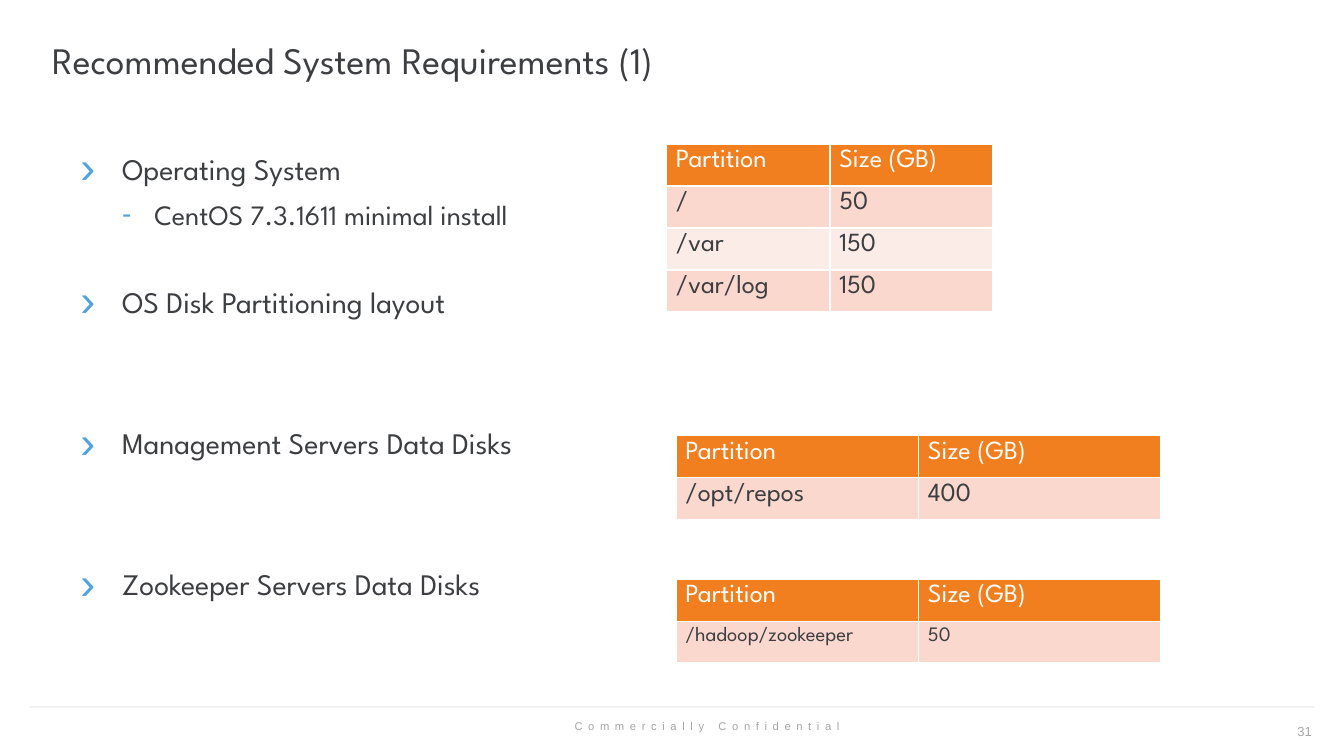
from lxml.etree import SubElement
from pptx import Presentation
from pptx.dml.color import RGBColor
from pptx.enum.shapes import MSO_CONNECTOR, MSO_SHAPE
from pptx.enum.text import MSO_ANCHOR, PP_ALIGN
from pptx.oxml.ns import qn
from pptx.util import Inches, Pt

DARK = RGBColor(0x3C, 0x3E, 0x41)
WHITE = RGBColor(0xFF, 0xFF, 0xFF)
GRAY = RGBColor(0xA6, 0xA6, 0xA6)
RULE = RGBColor(0xD9, 0xD9, 0xD9)
BLUE = RGBColor(0x4D, 0xA3, 0xE3)
ORANGE = RGBColor(0xF1, 0x7F, 0x1F)
BANDS = [RGBColor(0xFA, 0xD8, 0xCD), RGBColor(0xFC, 0xEC, 0xE8)]
MAIN_FONT = "League Spartan"
PLAIN_FONT = "Arial"

TITLE = "Recommended System Requirements (1)"
# text, level, lines of free room above
BULLETS = [
    ("Operating System", 0, 0),
    ("CentOS 7.3.1611 minimal install", 1, 0),
    ("OS Disk Partitioning layout", 0, 1),
    ("Management Servers Data Disks", 0, 2),
    ("Zookeeper Servers Data Disks", 0, 2),
]
# per level: character, percent size, left, hanging, text size, space after
LEVELS = [("›", 150, 0.51, 0.31, 16, 6), ("-", 100, 0.75, 0.24, 15, 3)]
FREE_LINE = 25.2
HEADER = ("Partition", "Size (GB)")
# left, top, width, text size, rows
TABLES = [
    (4.96, 1.07, 2.43, 14, [("/", "50"), ("/var", "150"), ("/var/log", "150")]),
    (5.03, 3.24, 3.61, 14, [("/opt/repos", "400")]),
    (5.03, 4.31, 3.61, 11, [("/hadoop/zookeeper", "50")]),
]
ROW_HEIGHT = 0.31


def add_run(para, text, size, color, font=MAIN_FONT):
    span = para.add_run()
    span.text = text
    span.font.size = Pt(size)
    span.font.name = font
    span.font.color.rgb = color
    return span


def add_box(page, left, top, width, height, anchor=MSO_ANCHOR.MIDDLE):
    box = page.shapes.add_textbox(Inches(left), Inches(top), Inches(width), Inches(height))
    box.text_frame.word_wrap = True
    box.text_frame.vertical_anchor = anchor
    return box.text_frame


def set_alpha(element, percent):
    for color in element.iter(qn("a:srgbClr")):
        SubElement(color, qn("a:alpha"), val=str(percent * 1000))


def set_bullet(para, char, percent, left, hanging):
    props = para._p.get_or_add_pPr()
    props.set("marL", str(Inches(left)))
    props.set("indent", str(-Inches(hanging)))
    color = SubElement(props, qn("a:buClr"))
    SubElement(color, qn("a:srgbClr"), val=str(BLUE))
    SubElement(props, qn("a:buSzPct"), val=str(percent * 1000))
    SubElement(props, qn("a:buFont"), typeface=PLAIN_FONT)
    SubElement(props, qn("a:buChar"), char=char)


def set_borders(cell):
    props = cell._tc.get_or_add_tcPr()
    for side in "LRTB":
        line = SubElement(props, qn(f"a:ln{side}"), w=str(Pt(1)))
        fill = SubElement(line, qn("a:solidFill"))
        SubElement(fill, qn("a:srgbClr"), val=str(WHITE))


def add_footer(page):
    number = add_box(page, 9, 5.29, 0.86, 0.3).paragraphs[0]
    number.alignment = PP_ALIGN.RIGHT
    add_run(number, "31", 7, GRAY, PLAIN_FONT)

    label = page.shapes.add_shape(
        MSO_SHAPE.RECTANGLE, Inches(4.06), Inches(5.3), Inches(2.4), Inches(0.3))
    label.shadow.inherit = False
    label.fill.solid()
    label.fill.fore_color.rgb = WHITE
    set_alpha(label._element.spPr, 50)
    label.line.fill.background()
    label.text_frame.vertical_anchor = MSO_ANCHOR.TOP
    para = label.text_frame.paragraphs[0]
    para.alignment = PP_ALIGN.CENTER
    span = add_run(para, "Commercially Confidential", 6, GRAY, PLAIN_FONT)
    span.font._element.set("spc", "300")

    rule = page.shapes.add_connector(
        MSO_CONNECTOR.STRAIGHT, Inches(0.22), Inches(5.26), Inches(9.78), Inches(5.26))
    rule.line.color.rgb = RULE
    rule.line.width = Pt(0.75)
    set_alpha(rule._element.spPr, 44)
    SubElement(rule._element.spPr, qn("a:effectLst"))


def add_bullets(page):
    frame = add_box(page, 0.3, 1.07, 9.32, 3.86, MSO_ANCHOR.TOP)
    for index, (text, level, free_lines) in enumerate(BULLETS):
        para = frame.add_paragraph() if index else frame.paragraphs[0]
        char, percent, left, hanging, size, after = LEVELS[level]
        para.level = level
        set_bullet(para, char, percent, left, hanging)
        para.space_after = Pt(after)
        if free_lines:
            para.space_before = Pt(FREE_LINE * free_lines)
        add_run(para, text, size, DARK)


def add_partition_table(page, left, top, width, size, rows):
    lines = [HEADER] + rows
    table = page.shapes.add_table(
        len(lines), len(HEADER), Inches(left), Inches(top),
        Inches(width), Inches(ROW_HEIGHT * len(lines))).table
    for row, values in enumerate(lines):
        is_header = row == 0
        for column, value in enumerate(values):
            cell = table.cell(row, column)
            cell.margin_left = cell.margin_right = Inches(0.07)
            cell.margin_top = cell.margin_bottom = Inches(0.04)
            set_borders(cell)
            cell.fill.solid()
            cell.fill.fore_color.rgb = ORANGE if is_header else BANDS[(row - 1) % 2]
            add_run(cell.text_frame.paragraphs[0], value,
                    14 if is_header else size, WHITE if is_header else DARK)


def main():
    deck = Presentation()
    deck.slide_width = Inches(10)
    deck.slide_height = deck.slide_width * 9 // 16
    page = deck.slides.add_slide(deck.slide_layouts[6])
    add_footer(page)
    title = add_box(page, 0.29, 0.07, 9.49, 0.79).paragraphs[0]
    title.line_spacing = 0.9
    add_run(title, TITLE, 20, DARK)
    add_bullets(page)
    for table in TABLES:
        add_partition_table(page, *table)
    deck.save("out.pptx")


if __name__ == "__main__":
    main()
